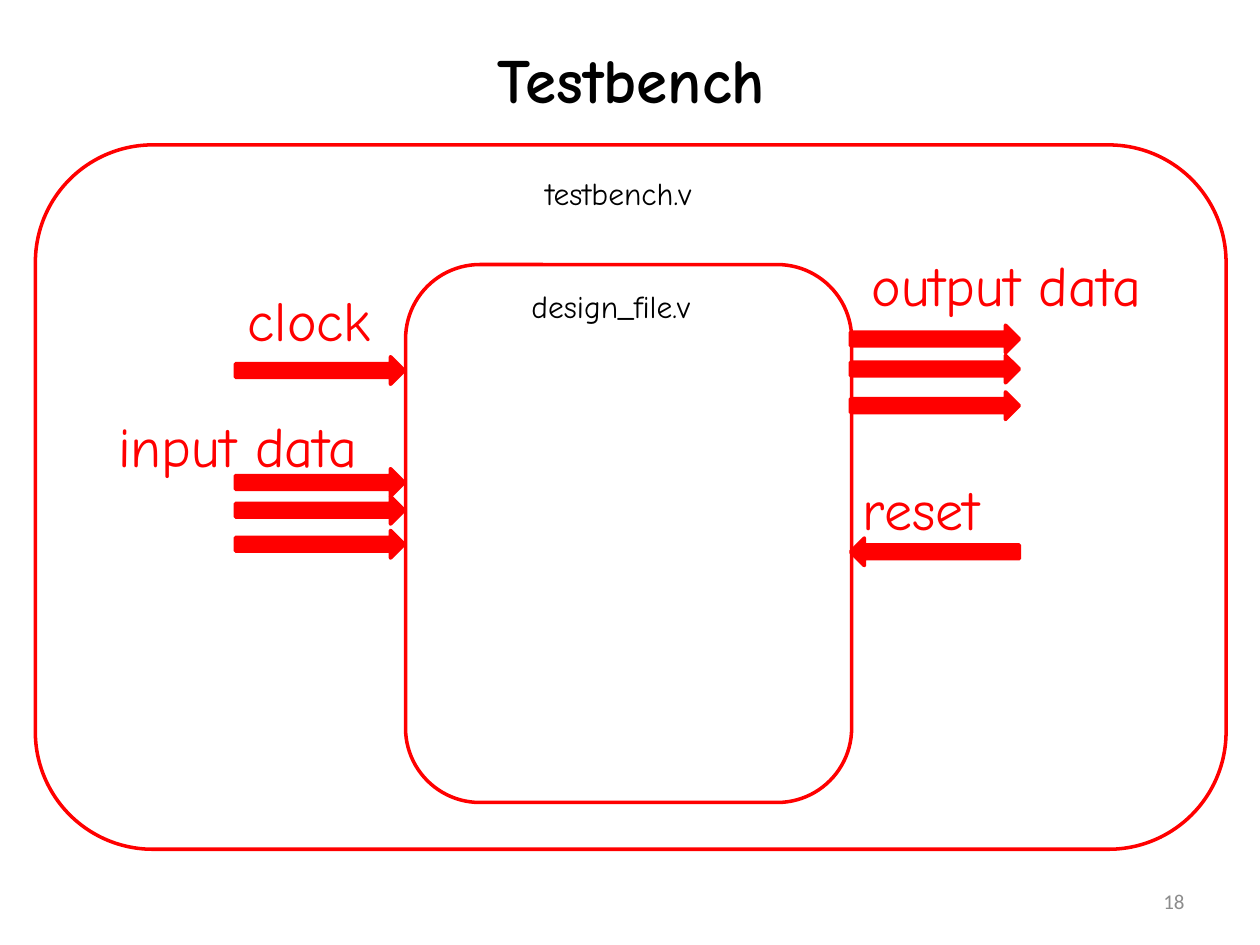
from pptx import Presentation
from pptx.dml.color import RGBColor
from pptx.enum.shapes import MSO_SHAPE
from pptx.enum.text import MSO_ANCHOR, PP_ALIGN
from pptx.util import Pt

RED = "FF0000"
ARROW_WIDTH, ARROW_HEIGHT = 96.5, 15.8
INPUT_X, OUTPUT_X = 134.6, 486


def rgb(value):
    """Turn a hex string into a colour."""
    return RGBColor.from_string(value)


def add_text(slide, text, x, y, w, h, size=18, color="000000", font="Comic Neue",
             bold=False, align=PP_ALIGN.LEFT, anchor=MSO_ANCHOR.TOP, wrap=False):
    """Add a one-paragraph text box."""
    tf = slide.shapes.add_textbox(Pt(x), Pt(y), Pt(w), Pt(h)).text_frame
    tf.word_wrap = wrap
    tf.vertical_anchor = anchor
    p = tf.paragraphs[0]
    p.alignment = align
    r = p.add_run()
    r.text = text
    r.font.name = font
    r.font.size = Pt(size)
    r.font.bold = bold
    r.font.color.rgb = rgb(color)


def add_outlined(slide, kind, x, y, w, h):
    """Add an unfilled shape with a red outline."""
    sp = slide.shapes.add_shape(kind, Pt(x), Pt(y), Pt(w), Pt(h))
    sp.shadow.inherit = False
    sp.fill.background()
    sp.line.color.rgb = rgb(RED)
    sp.line.width = Pt(2)
    return sp


def add_arrow(slide, x, y, rotation=0):
    """Add a solid red signal arrow."""
    sp = add_outlined(slide, MSO_SHAPE.RIGHT_ARROW, x, y, ARROW_WIDTH, ARROW_HEIGHT)
    sp.fill.solid()
    sp.fill.fore_color.rgb = rgb(RED)
    sp.rotation = rotation


def main():
    """Build the testbench slide."""
    prs = Presentation()
    prs.slide_width, prs.slide_height = Pt(720), Pt(540)
    slide = prs.slides.add_slide(prs.slide_layouts[6])

    add_text(slide, "Testbench", 36.7, 0, 648, 90, size=36, bold=True,
             align=PP_ALIGN.CENTER, anchor=MSO_ANCHOR.MIDDLE, wrap=True)
    add_text(slide, "18", 516.2, 500.4, 167.8, 28.8, size=12, color="8C8C8C",
             font="Calibri", align=PP_ALIGN.RIGHT, anchor=MSO_ANCHOR.MIDDLE, wrap=True)

    modules = [
        ("design_file.v", (231.8, 151.2, 254.9, 307.4), (296.6, 160.6, 122.4, 28.8)),
        ("testbench.v", (20.2, 82.8, 680.4, 402.5), (304.6, 95.8, 113.8, 28.8)),
    ]
    for name, frame, label in modules:
        add_outlined(slide, MSO_SHAPE.ROUNDED_RECTANGLE, *frame)
        add_text(slide, name, *label)

    signals = [
        ("clock", (134.6, 159.8, 91.4), INPUT_X, [203.8], 0),
        ("input data", (60.5, 231.8, 167), INPUT_X, [267.8, 283.7, 303.1], 0),
        ("output data", (491, 139.7, 190), OUTPUT_X, [185.8, 203, 223.9], 0),
        ("reset", (486, 267.8, 96.5), OUTPUT_X, [307.4], 180),
    ]
    for name, label, x, tops, rotation in signals:
        for y in tops:
            add_arrow(slide, x, y, rotation)
        add_text(slide, name, *label, 46.1, size=32, color=RED)

    prs.save("out.pptx")


if __name__ == "__main__":
    main()
